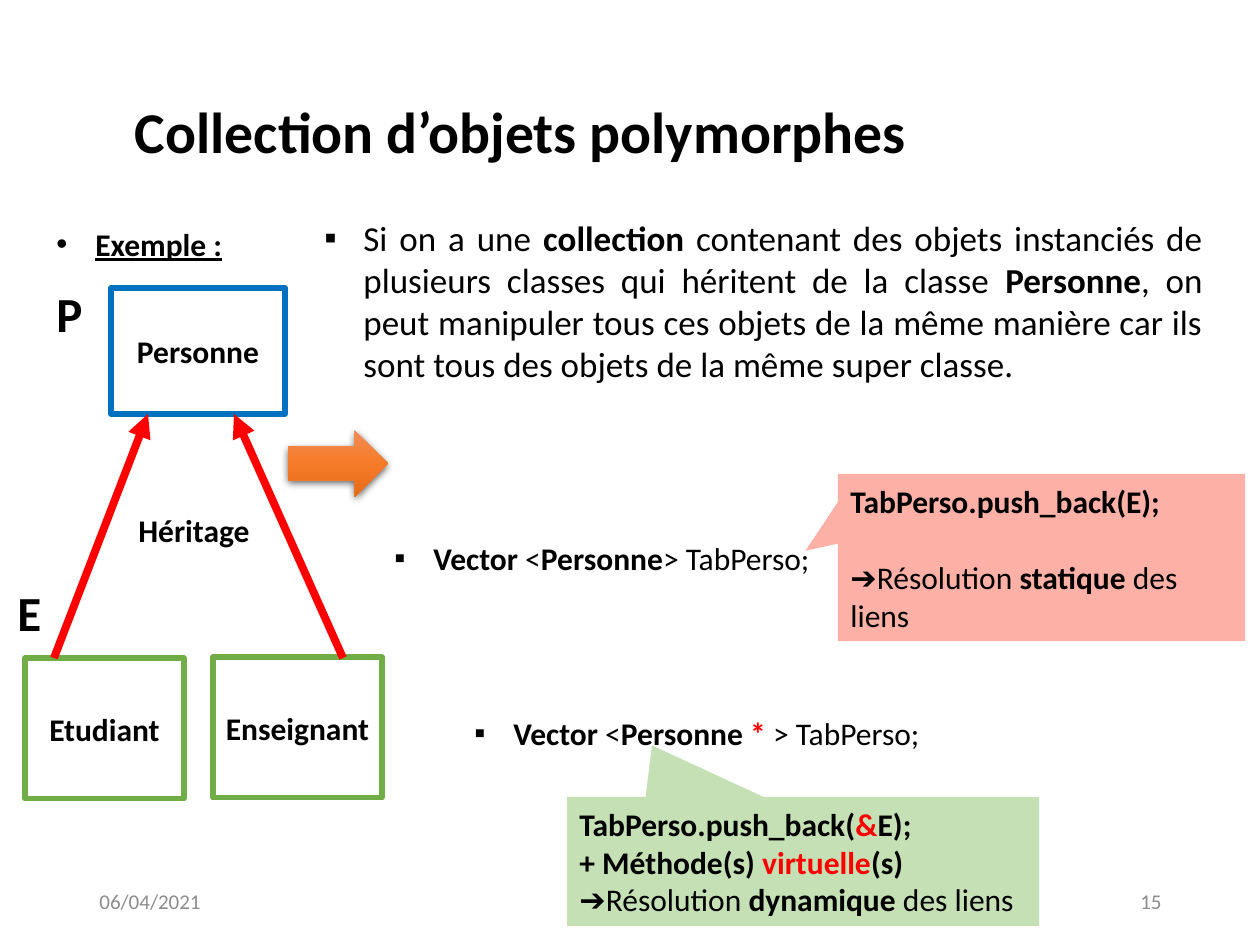
"""Build the slide on collections of polymorphic objects."""
from pptx import Presentation
from pptx.dml.color import RGBColor
from pptx.enum.shapes import MSO_CONNECTOR as LINE, MSO_SHAPE as SHAPE
from pptx.enum.text import MSO_ANCHOR as ANCHOR, PP_ALIGN as ALIGN
from pptx.oxml import parse_xml
from pptx.oxml.ns import nsdecls
from pptx.util import Emu, Pt

color = RGBColor.from_string
NS = nsdecls("a")


def px(*lengths):
    return [Emu(round(length * 914400 / 126)) for length in lengths]


def write(shape, *paragraphs, size=18, ink="000000", bold=False, align=ALIGN.LEFT,
          anchor=ANCHOR.TOP, wrap=True, bullet=None, spacing=None, gaps=()):
    frame = shape.text_frame
    frame.word_wrap, frame.vertical_anchor = wrap, anchor
    for index, runs in enumerate(paragraphs):
        paragraph = frame.paragraphs[0] if index == 0 else frame.add_paragraph()
        paragraph.alignment = align
        if bullet:
            properties = paragraph._p.get_or_add_pPr()
            hang = px(39)[0]
            properties.set("marL", str(hang))
            properties.set("indent", str(-hang))
            properties.append(parse_xml(f'<a:buFont {NS} typeface="Arial"/>'))
            properties.append(parse_xml(f'<a:buChar {NS} char="{bullet}"/>'))
        if spacing:
            paragraph.line_spacing = spacing
        if index < len(gaps):
            paragraph.space_before = Pt(gaps[index])
        for text, style in [(runs, "")] if isinstance(runs, str) else runs:
            run = paragraph.add_run()
            run.text = text
            run.font.name, run.font.size = "Calibri", Pt(size)
            run.font.bold = bold or "b" in style
            run.font.underline = "u" in style
            run.font.color.rgb = color("FF0000" if "r" in style else ink)


deck = Presentation()
deck.slide_width, deck.slide_height = px(1260, 945)
slide = deck.slides.add_slide(deck.slide_layouts[6])
shapes = slide.shapes

for left, text, align in [(87, "06/04/2021", ALIGN.LEFT), (890, "15", ALIGN.RIGHT)]:
    footer = shapes.add_textbox(*px(left, 876, 284, 50))
    write(footer, text, size=12, ink="8C8C8C", align=align, anchor=ANCHOR.MIDDLE)

title = shapes.add_textbox(*px(135, 96, 1041, 97))
title_frame = title.text_frame
title_frame.margin_left = title_frame.margin_right = 0
title_frame.margin_top = title_frame.margin_bottom = 0
write(title, "Collection d’objets polymorphes", size=33, bold=True)

for name, place, border in [
    ("Personne", (111, 288, 174, 126), "0070C0"),
    ("Etudiant", (25, 658, 159, 141), "70AD47"),
    ("Enseignant", (213, 657, 169, 141), "70AD47"),
]:
    class_box = shapes.add_shape(SHAPE.RECTANGLE, *px(*place))
    class_box.shadow.inherit = False
    class_box.fill.solid()
    class_box.fill.fore_color.rgb = color("FFFFFF")
    class_box.line.color.rgb = color(border)
    class_box.line.width = Pt(3)
    write(class_box, name, bold=True, align=ALIGN.CENTER, anchor=ANCHOR.MIDDLE)

for child_x, parent_x in [(54, 148), (343, 234)]:
    inheritance = shapes.add_connector(LINE.STRAIGHT, *px(child_x, 658, parent_x, 414))
    inheritance.line.color.rgb = color("FF0000")
    inheritance.line.width = Pt(4.5)
    inheritance.line._get_or_add_ln().append(parse_xml(f'<a:tailEnd {NS} type="triangle"/>'))
    inheritance._element.spPr.append(parse_xml(f"<a:effectLst {NS}/>"))

for label, place, size in [
    ("Héritage", (126, 505, 159, 50), 18),
    ("P", (44, 277, 40, 72), 28),
    ("E", (5, 576, 40, 72), 28),
]:
    write(shapes.add_textbox(*px(*place)), label, size=size, bold=True)

arrow = shapes.add_shape(SHAPE.RIGHT_ARROW, *px(288, 430, 100, 67))
arrow.line.fill.background()
arrow.shadow.inherit = False
stops = "".join(
    f'<a:gs pos="{position}000"><a:srgbClr val="{shade}"/></a:gs>'
    for position, shade in [(0, "F18C57"), (50, "F67B28"), (100, "E56C19")]
)
arrow.line._get_or_add_ln().addprevious(parse_xml(
    f'<a:gradFill {NS}><a:gsLst>{stops}</a:gsLst><a:lin ang="5400000" scaled="0"/></a:gradFill>'
))
arrow._element.spPr.effectLst.append(parse_xml(
    f'<a:outerShdw {NS} blurRad="{Pt(4.5)}" dist="{Pt(1.5)}" dir="5400000" rotWithShape="0">'
    '<a:srgbClr val="000000"><a:alpha val="63000"/></a:srgbClr></a:outerShdw>'
))

example = shapes.add_textbox(*px(44, 200, 202, 64))
write(example, [("Exemple :", "bu")], bullet="•", spacing=1.5, wrap=False)

principle = shapes.add_textbox(*px(312, 210, 903, 183))
write(principle, [
    ("Si on a une ", ""), ("collection", "b"),
    (" contenant des objets instanciés de plusieurs classes qui héritent de la classe ", ""),
    ("Personne", "b"),
    (", on peut manipuler tous ces objets de la même manière car ils sont tous "
     "des objets de la même super classe.", ""),
], size=20, align=ALIGN.JUSTIFY, bullet="▪")

for place, element_type in [
    ((382, 533, 441, 50), [("Personne", "b")]),
    ((462, 708, 471, 50), [("Personne ", "b"), ("* ", "br")]),
]:
    declaration = [("Vector", "b"), (" <", ""), *element_type, ("> TabPerso;", "")]
    write(shapes.add_textbox(*px(*place)), declaration,
          align=ALIGN.JUSTIFY, bullet="▪", wrap=False)

for place, tip, shade, gaps, lines in [
    ((838, 474, 407, 167), (-0.58, -0.04), "FCB0A6", (0, 22), [
        [("TabPerso.push_back(E);", "b")],
        [("➔Résolution ", ""), ("statique", "b"), (" des liens", "")],
    ]),
    ((567, 797, 472, 129), (-0.32, -0.9), "C5E0B4", (), [
        [("TabPerso.push_back(", "b"), ("&", "br"), ("E);", "b")],
        [("+ Méthode(s) ", "b"), ("virtuelle", "br"), ("(s)", "b")],
        [("➔Résolution ", ""), ("dynamique", "b"), (" des liens", "")],
    ]),
]:
    callout = shapes.add_shape(SHAPE.RECTANGULAR_CALLOUT, *px(*place))
    callout.adjustments[0], callout.adjustments[1] = tip
    callout.shadow.inherit = False
    callout.fill.solid()
    callout.fill.fore_color.rgb = color(shade)
    callout.line.fill.background()
    write(callout, *lines, anchor=ANCHOR.MIDDLE, gaps=gaps)

deck.save("out.pptx")
